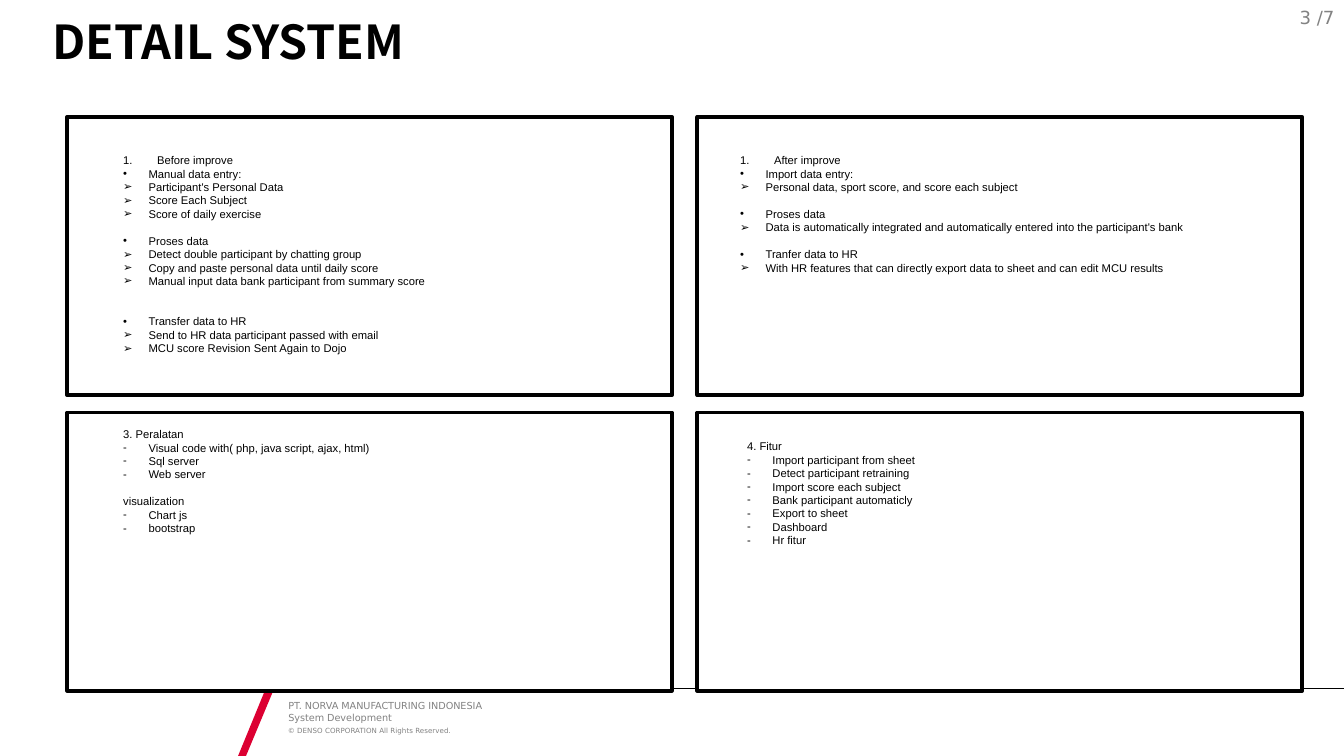
"""Build the DETAIL SYSTEM slide: four framed panels of lists above a footer."""
from dataclasses import dataclass

from lxml import etree
from pptx import Presentation
from pptx.dml.color import RGBColor as RGB
from pptx.enum.shapes import MSO_CONNECTOR as CONN, MSO_SHAPE as SHAPE
from pptx.enum.text import MSO_ANCHOR as ANCHOR, PP_ALIGN as ALIGN
from pptx.oxml.ns import qn
from pptx.util import Cm, Pt


@dataclass(frozen=True)
class Theme:
    ink: RGB = RGB(0, 0, 0)
    paper: RGB = RGB(255, 255, 255)
    grey: RGB = RGB(0x82, 0x82, 0x82)
    red: RGB = RGB(0xDC, 0x00, 0x32)
    title: float = 25
    page: float = 9.7
    body: float = 6
    footer: float = 5.2
    rights: float = 3.8
    gap: float = 7.2


T = Theme()
INDENT = {"1.": 0.64, "•": 0.48, "➢": 0.48, "-": 0.48}

prs = Presentation()
prs.slide_width, prs.slide_height = Cm(25.4), Cm(14.29)
s = prs.slides.add_slide(prs.slide_layouts[6])


def add_text(lines, box, size, font="Arial", color=T.ink, bold=False,
             align=ALIGN.LEFT, anchor=ANCHOR.TOP, insets=(0, 0, 0, 0)):
    """Add a text box; each line is (bullet, text, blank lines before it)."""
    tf = s.shapes.add_textbox(*map(Cm, box)).text_frame
    tf.word_wrap = True
    tf.vertical_anchor = anchor
    tf.margin_left, tf.margin_top, tf.margin_right, tf.margin_bottom = map(Cm, insets)
    for i, (bullet, text, gaps) in enumerate(lines):
        p = tf.add_paragraph() if i else tf.paragraphs[0]
        p.alignment = align
        if gaps:
            p.space_before = Pt(T.gap * gaps)
        if bullet:
            pPr = p._p.get_or_add_pPr()
            pPr.set("marL", str(Cm(INDENT[bullet])))
            pPr.set("indent", str(-Cm(INDENT[bullet])))
            etree.SubElement(pPr, qn("a:buFont")).set("typeface", "Arial")
            if bullet == "1.":
                etree.SubElement(pPr, qn("a:buAutoNum")).set("type", "arabicPeriod")
            else:
                etree.SubElement(pPr, qn("a:buChar")).set("char", bullet)
        r = p.add_run()
        r.text = text
        r.font.name, r.font.size, r.font.bold = font, Pt(size), bold
        r.font.color.rgb = color


rule = s.shapes.add_connector(CONN.STRAIGHT, Cm(5.41), Cm(13.02), Cm(25.4), Cm(13.02))
rule.line.color.rgb = T.ink
rule.line.width = Pt(0.5)
etree.SubElement(rule._element.spPr, qn("a:effectLst"))

fb = s.shapes.build_freeform(Cm(5.21), Cm(12.95))
fb.add_line_segments([(Cm(x), Cm(y)) for x, y in
                      ((5.05, 12.95), (4.5, 14.29), (4.65, 14.29))])
slash = fb.convert_to_shape()
slash.shadow.inherit = False
slash.fill.solid()
slash.fill.fore_color.rgb = T.red
slash.line.fill.background()

footer = dict(font="DejaVu Sans", color=T.grey)
add_text([("", "PT. NORVA MANUFACTURING INDONESIA", 0), ("", "System Development", 0)],
         (5.45, 13.23, 16, 0.46), T.footer, **footer)
add_text([("", "© DENSO CORPORATION All Rights Reserved.", 0)],
         (5.44, 13.74, 16, 0.15), T.rights, **footer)
add_text([("", "3 /7", 0)], (19.69, -0.05, 5.71, 0.76), T.page, align=ALIGN.RIGHT,
         anchor=ANCHOR.MIDDLE, insets=(0.18, 0.1, 0.18, 0.1), **footer)
add_text([("", "DETAIL SYSTEM", 0)], (0, 0.41, 25.4, 0.74), T.title,
         font="Noto Sans CJK JP", bold=True, anchor=ANCHOR.MIDDLE,
         insets=(0.99, 0, 3.99, 0))

for top in (2.21, 7.8):
    for left in (1.27, 13.18):
        frame = s.shapes.add_shape(SHAPE.RECTANGLE, Cm(left), Cm(top), Cm(11.43), Cm(5.26))
        frame.shadow.inherit = False
        frame.fill.solid()
        frame.fill.fore_color.rgb = T.paper
        frame.line.color.rgb = T.ink
        frame.line.width = Pt(2)

panels = [
    (2.08, 2.77, 4.11, [
        ("1.", "Before improve", 0),
        ("•", "Manual data entry:", 0),
        ("➢", "Participant's Personal Data", 0),
        ("➢", "Score Each Subject", 0),
        ("➢", "Score of daily exercise", 0),
        ("•", "Proses data", 1),
        ("➢", "Detect double participant by chatting group", 0),
        ("➢", "Copy and paste personal data until daily score", 0),
        ("➢", "Manual input data bank participant from summary score", 0),
        ("•", "Transfer data to HR", 2),
        ("➢", "Send to HR data participant passed with email", 0),
        ("➢", "MCU score Revision Sent Again to Dojo", 0)]),
    (13.74, 2.77, 2.82, [
        ("1.", "After improve", 0),
        ("•", "Import data entry:", 0),
        ("➢", "Personal data, sport score, and score each subject", 0),
        ("•", "Proses data", 1),
        ("➢", "Data is automatically integrated and automatically entered "
              "into the participant's bank", 0),
        ("•", "Tranfer data to HR", 1),
        ("➢", "With HR features that can directly export data to sheet "
              "and can edit MCU results", 0)]),
    (2.08, 7.95, 2.57, [
        ("", "3. Peralatan", 0),
        ("-", "Visual code with( php, java script, ajax, html)", 0),
        ("-", "Sql server", 0),
        ("-", "Web server", 0),
        ("", "visualization", 1),
        ("-", "Chart js", 0),
        ("-", "bootstrap", 0)]),
    (13.87, 8.18, 2.31, [
        ("", "4. Fitur", 0),
        ("-", "Import participant from sheet", 0),
        ("-", "Detect participant retraining", 0),
        ("-", "Import score each subject", 0),
        ("-", "Bank participant automaticly", 0),
        ("-", "Export to sheet", 0),
        ("-", "Dashboard", 0),
        ("-", "Hr fitur", 0)]),
]
for left, top, height, lines in panels:
    add_text(lines, (left, top, 8.89, height), T.body, insets=(0.25, 0.13, 0, 0.13))

prs.save("out.pptx")
